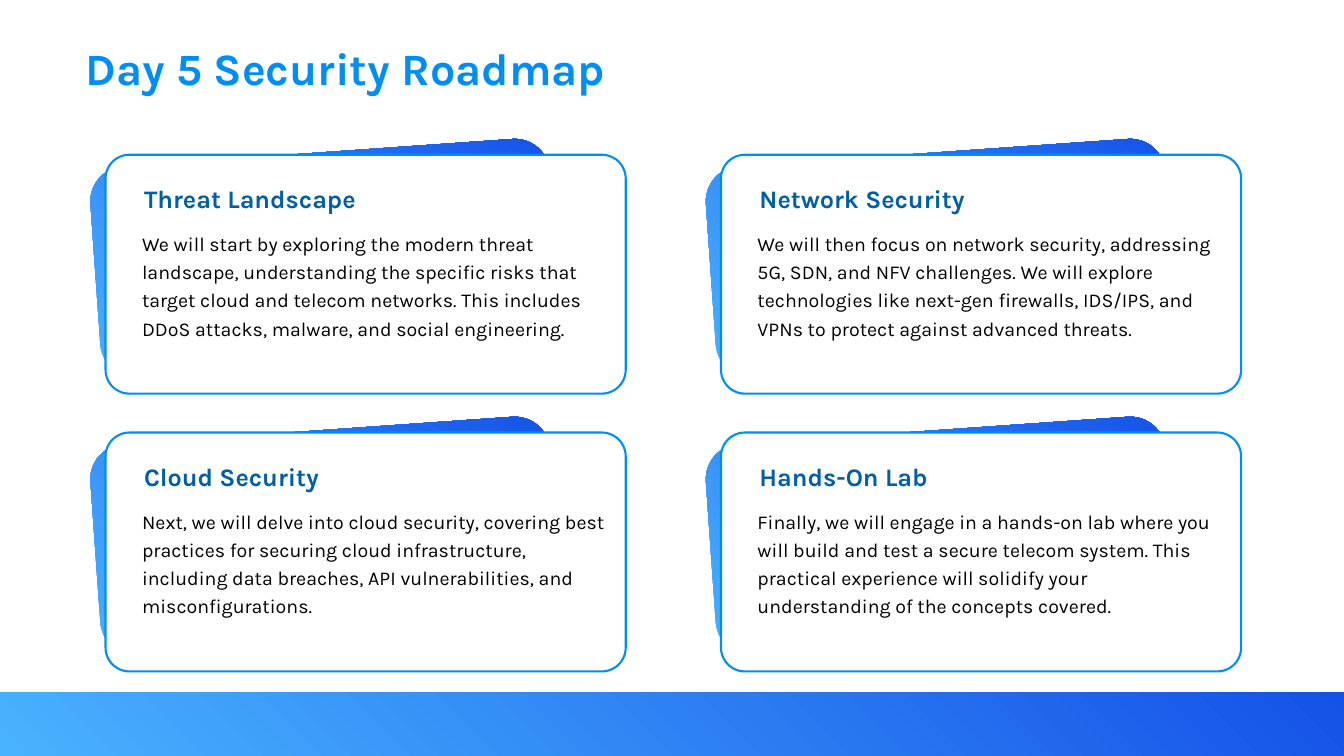
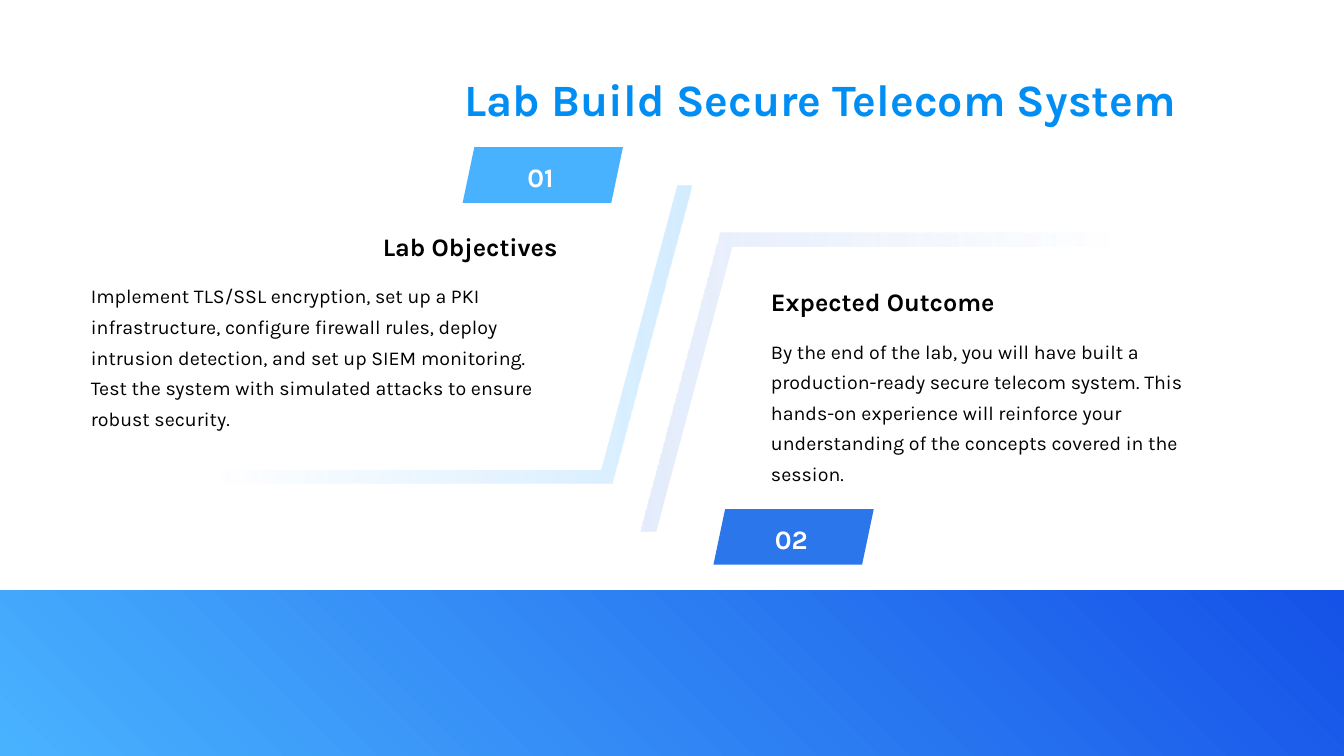
from dataclasses import dataclass
from typing import Any

from lxml import etree
from pptx import Presentation
from pptx import util as u
from pptx.dml.color import RGBColor
from pptx.enum import shapes, text
from pptx.oxml import ns

# Shared colours and text styles
BLUE = RGBColor(0x01, 0x8E, 0xF4)
NAVY = RGBColor(0x01, 0x5F, 0xA3)
SKY = RGBColor(0x49, 0xB2, 0xFE)
ROYAL = RGBColor(0x15, 0x52, 0xE8)
MID_BLUE = RGBColor(0x2A, 0x76, 0xEA)
PALE_SKY = RGBColor(0x92, 0xD1, 0xFE)
PALE_BLUE = RGBColor(0xBC, 0xD0, 0xF7)
BLACK = RGBColor(0, 0, 0)
WHITE = RGBColor(0xFF, 0xFF, 0xFF)

FONT = "Karla"
TITLE = {"size": u.Pt(32), "bold": True}
HEADING = {"size": u.Pt(18), "bold": True}
BODY = {"size": u.Pt(14), "bold": False}
NUMBER = {"size": u.Pt(19), "bold": True}

NO_MARGINS = dict.fromkeys(
    ("margin_left", "margin_top", "margin_right", "margin_bottom"), 0)
TAG_FRAME = {
    "margin_left": u.Cm(0.13), "margin_top": u.Cm(0.25),
    "margin_right": u.Cm(0.25), "margin_bottom": u.Cm(0.13),
    "vertical_anchor": text.MSO_ANCHOR.MIDDLE, "word_wrap": False,
}
LEFT, CENTER, RIGHT = text.PP_ALIGN.LEFT, text.PP_ALIGN.CENTER, text.PP_ALIGN.RIGHT

SLIDE_W, SLIDE_H = 33.87, 19.05
BRAND_STOPS = [(0, SKY, 100), (100, ROYAL, 100)]


@dataclass(frozen=True)
class Box:
    """Position and size in centimetres."""
    x: float
    y: float
    w: float
    h: float

    def lengths(self) -> tuple[u.Cm, ...]:
        return tuple(u.Cm(v) for v in (self.x, self.y, self.w, self.h))

    def moved(self, dx: float, dy: float) -> "Box":
        return Box(self.x + dx, self.y + dy, self.w, self.h)


@dataclass(frozen=True)
class Card:
    heading: str
    body: str


@dataclass(frozen=True)
class Panel:
    number: str
    heading: str
    body: str
    tag: Box
    tag_color: RGBColor
    heading_box: Box
    align: Any
    body_box: Box
    frame: Box
    frame_color: RGBColor
    frame_angle: int
    cover_shift: tuple[float, float]


CARDS = [
    Card("Threat Landscape",
         "We will start by exploring the modern threat landscape, understanding "
         "the specific risks that target cloud and telecom networks. This includes "
         "DDoS attacks, malware, and social engineering."),
    Card("Network Security",
         "We will then focus on network security, addressing 5G, SDN, and NFV "
         "challenges. We will explore technologies like next-gen firewalls, "
         "IDS/IPS, and VPNs to protect against advanced threats."),
    Card("Cloud Security",
         "Next, we will delve into cloud security, covering best practices for "
         "securing cloud infrastructure, including data breaches, API "
         "vulnerabilities, and misconfigurations."),
    Card("Hands-On Lab",
         "Finally, we will engage in a hands-on lab where you will build and test "
         "a secure telecom system. This practical experience will solidify your "
         "understanding of the concepts covered."),
]
CARD = Box(2.66, 3.9, 13.11, 6.02)
CARD_PITCH = (15.51, 7.0)

OBJECTIVES = Panel(
    "01", "Lab Objectives",
    "Implement TLS/SSL encryption, set up a PKI infrastructure, configure "
    "firewall rules, deploy intrusion detection, and set up SIEM monitoring. "
    "Test the system with simulated attacks to ensure robust security.",
    Box(11.66, 3.71, 4.04, 1.4), SKY,
    Box(3.48, 5.82, 10.57, 1.02), RIGHT, Box(2.29, 6.99, 11.76, 3.71),
    Box(2.54, 4.67, 14.88, 7.52), PALE_SKY, 0, (-0.26, -0.35))
OUTCOME = Panel(
    "02", "Expected Outcome",
    "By the end of the lab, you will have built a production-ready secure "
    "telecom system. This hands-on experience will reinforce your "
    "understanding of the concepts covered in the session.",
    Box(17.98, 12.83, 4.04, 1.4), MID_BLUE,
    Box(19.43, 7.21, 10.57, 1.02), LEFT, Box(19.43, 8.38, 11.76, 3.96),
    Box(16.15, 5.87, 14.88, 7.52), PALE_BLUE, 180, (0.3, 0.35))
SLANT = 2.01


# Drawing helpers
def apply(target: Any, values: dict[str, Any]) -> None:
    for name, value in values.items():
        setattr(target, name, value)


def write(tf: Any, words: str, style: dict[str, Any], color: RGBColor,
          align: Any = LEFT, spacing: float = 1.0) -> None:
    p = tf.paragraphs[0]
    apply(p, {"alignment": align, "line_spacing": spacing})
    r = p.add_run()
    r.text = words
    apply(r.font, {"name": FONT, **style})
    r.font.color.rgb = color


def add_text(s: Any, box: Box, words: str, style: dict[str, Any], color: RGBColor,
             align: Any = LEFT, spacing: float = 1.0,
             frame: dict[str, Any] | None = None) -> None:
    tf = s.shapes.add_textbox(*box.lengths()).text_frame
    apply(tf, {"word_wrap": True, **(frame or {})})
    write(tf, words, style, color, align, spacing)


def paint(sp: Any, fill: RGBColor | None = None, line: RGBColor | None = None) -> None:
    sp.shadow.inherit = False
    if fill is None:
        sp.fill.background()
    else:
        sp.fill.solid()
        sp.fill.fore_color.rgb = fill
    if line is None:
        sp.line.fill.background()
    else:
        sp.line.color.rgb = line
        sp.line.width = u.Pt(1.5)


def paint_gradient(sp: Any, stops: list[tuple[int, RGBColor, int]], angle: int) -> None:
    """Fill with (position, colour, opacity) stops, all in percent."""
    paint(sp)
    grad = etree.Element(ns.qn("a:gradFill"), rotWithShape="1")
    gs_list = etree.SubElement(grad, ns.qn("a:gsLst"))
    for position, color, opacity in stops:
        gs = etree.SubElement(gs_list, ns.qn("a:gs"), pos=str(position * 1000))
        clr = etree.SubElement(gs, ns.qn("a:srgbClr"), val=str(color))
        if opacity < 100:
            etree.SubElement(clr, ns.qn("a:alpha"), val=str(opacity * 1000))
    etree.SubElement(grad, ns.qn("a:lin"), ang=str(angle * 60000), scaled="0")
    sp_pr = sp._element.spPr
    sp_pr.replace(sp_pr.find(ns.qn("a:noFill")), grad)


def add_shape(s: Any, kind: Any, box: Box, adjust: float | None = None) -> Any:
    sp = s.shapes.add_shape(kind, *box.lengths())
    if adjust is not None:
        sp.adjustments[0] = adjust
    return sp


def add_slide(prs: Any, title: str, title_box: Box, align: Any, band_top: float) -> Any:
    """Blank slide with the title and the gradient band along the bottom."""
    s = prs.slides.add_slide(prs.slide_layouts[6])
    add_text(s, title_box, title, TITLE, BLUE, align)
    band = add_shape(s, shapes.MSO_SHAPE.RECTANGLE,
                     Box(0, band_top, SLIDE_W, SLIDE_H - band_top))
    paint_gradient(band, BRAND_STOPS, 315)
    return s


def add_card(s: Any, box: Box, card: Card) -> None:
    back = add_shape(s, shapes.MSO_SHAPE.ROUNDED_RECTANGLE,
                     Box(box.x - 0.27, box.y - 0.06, 11.61, 5.33))
    back.rotation = 356
    paint_gradient(back, BRAND_STOPS, 315)
    front = add_shape(s, shapes.MSO_SHAPE.ROUNDED_RECTANGLE, box, 0.1)
    paint(front, WHITE, BLUE)
    add_text(s, Box(box.x + 0.72, box.y + 0.6, 11.99, 0.79),
             card.heading, HEADING, NAVY)
    add_text(s, Box(box.x + 0.67, box.y + 1.7, 12.22, 3.02),
             card.body, BODY, BLACK, spacing=1.2)


def add_slanted(s: Any, box: Box) -> Any:
    right, bottom = box.x + box.w, box.y + box.h
    corners = [(box.x, bottom), (box.x + SLANT, box.y),
               (right, box.y), (right - SLANT, bottom)]
    points = [(u.Cm(x), u.Cm(y)) for x, y in corners]
    builder = s.shapes.build_freeform(*points[0])
    builder.add_line_segments(points[1:], close=True)
    return builder.convert_to_shape()


def add_frame(s: Any, panel: Panel) -> None:
    """Fading slanted panel, covered in white except for two edges."""
    color = panel.frame_color
    paint_gradient(add_slanted(s, panel.frame),
                   [(0, color, 0), (20, color, 0), (100, color, 40)],
                   panel.frame_angle)
    paint(add_slanted(s, panel.frame.moved(*panel.cover_shift)), WHITE)


def add_panel_text(s: Any, panel: Panel) -> None:
    tag = add_shape(s, shapes.MSO_SHAPE.PARALLELOGRAM, panel.tag, 0.21)
    paint(tag, panel.tag_color)
    apply(tag.text_frame, TAG_FRAME)
    write(tag.text_frame, panel.number, NUMBER, WHITE, CENTER)
    add_text(s, panel.heading_box, panel.heading, HEADING, BLACK,
             panel.align, frame=NO_MARGINS)
    add_text(s, panel.body_box, panel.body, BODY, BLACK,
             spacing=1.3, frame=NO_MARGINS)


# Slides
def build_roadmap(prs: Any) -> None:
    s = add_slide(prs, "Day 5 Security Roadmap", Box(1.9, 0.91, 27.23, 1.4), LEFT, 17.45)
    for i, card in enumerate(CARDS):
        row, col = divmod(i, 2)
        add_card(s, CARD.moved(col * CARD_PITCH[0], row * CARD_PITCH[1]), card)


def build_lab(prs: Any) -> None:
    s = add_slide(prs, "Lab Build Secure Telecom System",
                  Box(2.67, 1.68, 27.23, 1.4), RIGHT, 14.88)
    for panel in (OUTCOME, OBJECTIVES):
        add_frame(s, panel)
    for panel in (OBJECTIVES, OUTCOME):
        add_panel_text(s, panel)


def main() -> None:
    prs = Presentation()
    apply(prs, {"slide_width": u.Cm(SLIDE_W), "slide_height": u.Cm(SLIDE_H)})
    build_roadmap(prs)
    build_lab(prs)
    prs.save("out.pptx")


if __name__ == "__main__":
    main()
